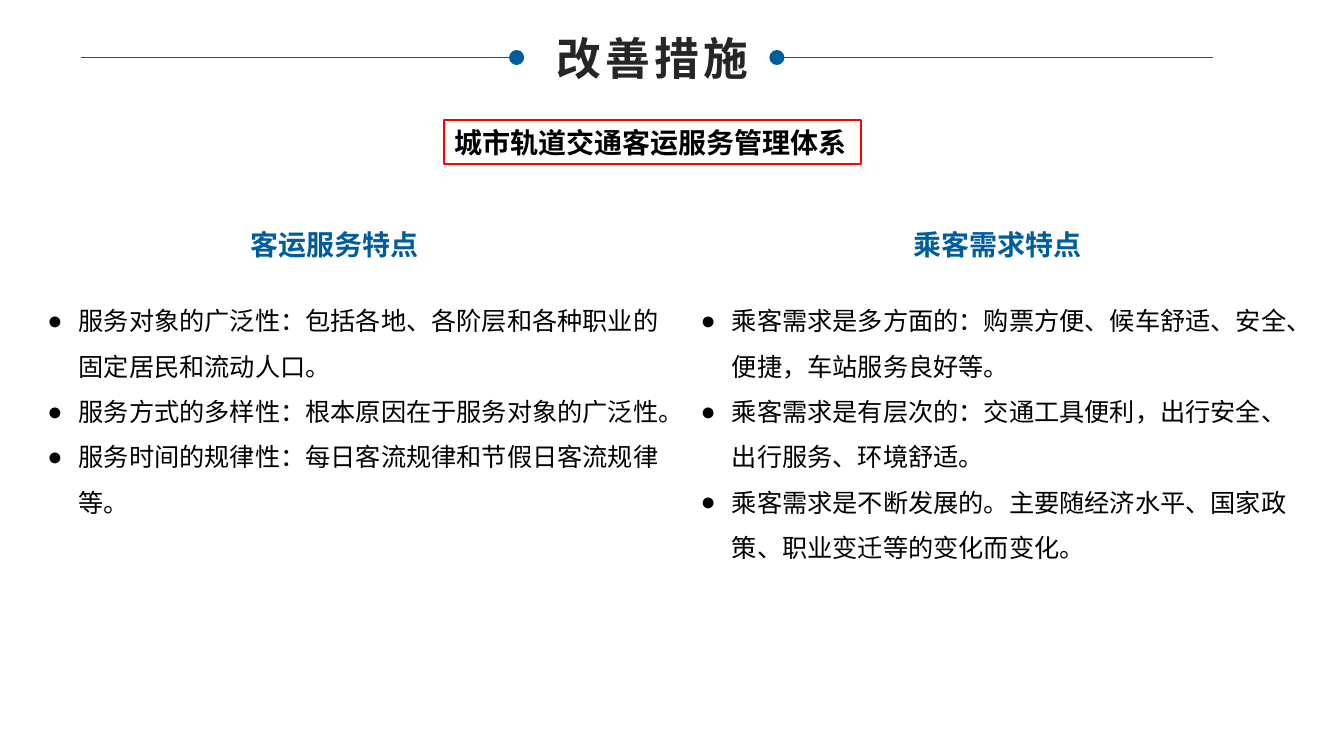
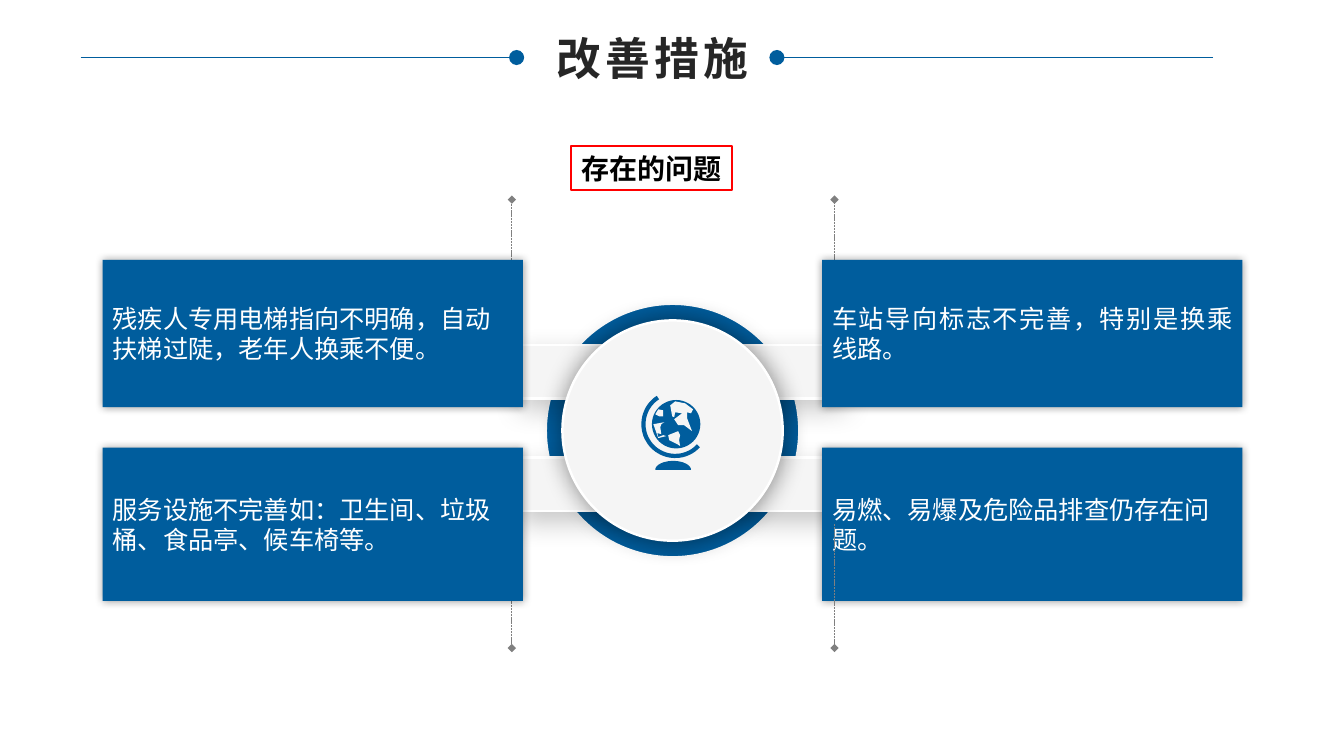
import math

from lxml import etree
from pptx import Presentation
from pptx import util as u
from pptx.dml.color import RGBColor
from pptx.enum import dml, shapes, text
from pptx.oxml import ns

COLORS = {
    "blue": "005D9D",
    "title": "262626",
    "black": "000000",
    "white": "FFFFFF",
    "red": "FF0000",
    "plate": "F5F5F5",
    "guide": "808080",
}
CJK_FONT = "Noto Sans CJK SC"
CARD_SHADOW = (40, 6, 0, 90)
PLATE_SHADOW = (21, 20, 10, 45)
HUB_SHADOW = (45, 18, 0, 0)

SERVICE_TRAITS = [
    "服务对象的广泛性：包括各地、各阶层和各种职业的固定居民和流动人口。",
    "服务方式的多样性：根本原因在于服务对象的广泛性。",
    "服务时间的规律性：每日客流规律和节假日客流规律等。",
]
DEMAND_TRAITS = [
    "乘客需求是多方面的：购票方便、候车舒适、安全、便捷，车站服务良好等。",
    "乘客需求是有层次的：交通工具便利，出行安全、出行服务、环境舒适。",
    "乘客需求是不断发展的。主要随经济水平、国家政策、职业变迁等的变化而变化。",
]
CONTINENTS = [
    [(-6, -19), (-1, -23), (9, -21), (17, -15), (15, -11), (11, -12),
     (11, -6), (16, 7), (8, 1), (2, 1), (-2, -5), (2, -8), (6, -11),
     (-1, -12), (-2, -7), (-4, -8)],
    [(-8, 11), (2, 7), (4, 11), (3, 16), (4, 22), (1, 20), (-7, 16)],
    [(-12, -2), (-23, 0), (-18, 14), (-10, 12), (-13, 11), (-18, 13),
     (-19, 9), (-15, 10), (-16, 3), (-15, 0)],
    [(-18, -15), (-21, -10), (-17, -8), (-13, -8), (-13, -14)],
]


def rgb(name):
    return RGBColor.from_string(COLORS[name])


def add_xml(parent, tag, **attributes):
    return etree.SubElement(parent, ns.qn(tag), attributes)


def write_text(frame, lines, size=18, font=CJK_FONT, color="black", bold=False,
               align=text.PP_ALIGN.LEFT, anchor=text.MSO_ANCHOR.MIDDLE,
               wrap=True, leading=None, spacing=0, bullet=None):
    frame.word_wrap = wrap
    frame.auto_size = text.MSO_AUTO_SIZE.NONE
    frame.vertical_anchor = anchor
    frame.text = "\n".join(lines)
    for paragraph in frame.paragraphs:
        paragraph.alignment = align
        paragraph.space_before = u.Pt(0)
        paragraph.line_spacing = u.Pt(leading) if leading else 1.0
        if bullet:
            properties = paragraph._p.get_or_add_pPr()
            properties.set("marL", str(u.Cm(0.79)))
            properties.set("indent", str(-u.Cm(0.79)))
            add_xml(properties, "a:buFont", typeface="Arial")
            add_xml(properties, "a:buChar", char=bullet)
        for run in paragraph.runs:
            run.font.size = u.Pt(size)
            run.font.bold = bold
            run.font.color.rgb = rgb(color)
            run.font.name = font
            properties = run._r.get_or_add_rPr()
            properties.set("lang", "zh-CN")
            if spacing:
                properties.set("spc", str(spacing * 100))
            add_xml(properties, "a:ea", typeface=CJK_FONT)


def place(shape, box):
    shape.left, shape.top, shape.width, shape.height = (u.Cm(v) for v in box)


def format_shape(shape, fill=None, line=None, width=1.5, shadow=None):
    if fill:
        shape.fill.solid()
        shape.fill.fore_color.rgb = rgb(fill)
    else:
        shape.fill.background()
    if line:
        shape.line.color.rgb = rgb(line)
        shape.line.width = u.Pt(width)
    else:
        shape.line.fill.background()
    shape.shadow.inherit = False
    if shadow:
        alpha, blur, distance, angle = shadow
        effects = shape._element.spPr.find(ns.qn("a:effectLst"))
        outer = add_xml(effects, "a:outerShdw", blurRad=str(u.Pt(blur)),
                        dist=str(u.Pt(distance)), dir=str(angle * 60000),
                        algn="ctr", rotWithShape="0")
        tone = add_xml(outer, "a:srgbClr", val=COLORS["black"])
        add_xml(tone, "a:alpha", val=str(alpha * 1000))


def add_preset(slide, kind, box, **style):
    shape = slide.shapes.add_shape(kind, *(u.Cm(v) for v in box))
    format_shape(shape, **style)
    return shape


def add_rectangle(slide, box, **style):
    return add_preset(slide, shapes.MSO_SHAPE.RECTANGLE, box, **style)


def add_circle(slide, center_x, center_y, diameter, **style):
    box = (center_x - diameter / 2, center_y - diameter / 2, diameter, diameter)
    return add_preset(slide, shapes.MSO_SHAPE.OVAL, box, **style)


def add_line(slide, start, end, color, width, dashed=False):
    line = slide.shapes.add_connector(
        shapes.MSO_CONNECTOR.STRAIGHT, *(u.Cm(v) for v in start + end))
    line.line.color.rgb = rgb(color)
    line.line.width = u.Pt(width)
    if dashed:
        line.line.dash_style = dml.MSO_LINE.SQUARE_DOT
        add_xml(line.line._get_or_add_ln(), "a:tailEnd", type="diamond")
    add_xml(line._element.spPr, "a:effectLst")


def add_outline(slide, center, points, closed=True, **style):
    points = [(x * 10, y * 10) for x, y in points]
    builder = slide.shapes.build_freeform(*points[0], scale=u.Cm(0.0025))
    builder.add_line_segments(points[1:], close=closed)
    shape = builder.convert_to_shape(*(u.Cm(v) for v in center))
    format_shape(shape, **style)


def arc_points(center_x, center_y, radius_x, radius_y, start, end):
    angles = [math.radians(start + (end - start) * i / 40) for i in range(41)]
    return [(center_x + radius_x * math.cos(a), center_y + radius_y * math.sin(a))
            for a in angles]


def add_header(slide, center=16.3, middle=1.45):
    title = slide.shapes.title
    place(title, (13.69, 0.64, 5.51, 1.63))
    write_text(title.text_frame, ["改善措施"], size=32, font="Arial",
               color="title", bold=True, align=text.PP_ALIGN.CENTER,
               wrap=False, spacing=3)
    for side in (-1, 1):
        add_line(slide, (center + side * 14.27, middle),
                 (center + side * 3.47, middle), "blue", 0.25)
        add_circle(slide, center + side * 3.28, middle, 0.38, fill="blue")


def add_banner(slide, box, caption):
    banner = add_rectangle(slide, box, line="red")
    write_text(banner.text_frame, [caption], size=20, bold=True, wrap=False)


def fill_column(heading, heading_box, caption, align, body, body_box, items, font):
    place(heading, heading_box)
    write_text(heading.text_frame, [caption], size=20, color="blue", bold=True,
               align=align)
    place(body, body_box)
    write_text(body.text_frame, items, font=font, leading=32.4, bullet="●",
               anchor=text.MSO_ANCHOR.TOP)


def add_globe(slide, center_x, center_y):
    center = (center_x, center_y)
    add_circle(slide, center_x, center_y, 1.22, fill="blue")
    for continent in CONTINENTS:
        add_outline(slide, center, continent, fill="plate")
    add_outline(slide, center, arc_points(-1, 0, 32, 32, 43, 237),
                closed=False, line="blue", width=3)
    add_outline(slide, center, arc_points(-3, 46, 18, 9, 180, 360), fill="blue")


def add_hub(slide, center_x, center_y):
    add_circle(slide, center_x, center_y, 6.4, fill="blue", line="white", width=2)
    for top in (center_y - 2.16, center_y + 0.68):
        for left in (center_x - 4.07, center_x + 1.43):
            add_rectangle(slide, (left, top, 2.64, 1.35), fill="plate",
                          line="white", width=1.75, shadow=PLATE_SHADOW)
    add_circle(slide, center_x, center_y, 5.55, fill="plate", line="white",
               width=1.75, shadow=HUB_SHADOW)
    add_globe(slide, center_x + 0.09, center_y - 0.16)


def add_card(slide, box, caption, align=text.PP_ALIGN.LEFT):
    card = add_rectangle(slide, box, fill="blue", shadow=CARD_SHADOW)
    write_text(card.text_frame, [caption], color="white", leading=21.6, align=align)


def add_guide(slide, x, start, end):
    add_line(slide, (x, start), (x, end), "guide", 0.5, dashed=True)


def build_traits_slide(presentation):
    slide = presentation.slides.add_slide(presentation.slide_layouts[4])
    holders = slide.placeholders
    fill_column(holders[1], (6.05, 5.59, 4.98, 1.12), "客运服务特点",
                text.PP_ALIGN.LEFT, holders[2], (0.94, 7.19, 16.18, 6.02),
                SERVICE_TRAITS, CJK_FONT)
    fill_column(holders[3], (22.68, 5.59, 4.83, 1.12), "乘客需求特点",
                text.PP_ALIGN.RIGHT, holders[4], (17.4, 7.19, 15.39, 7.19),
                DEMAND_TRAITS, "Arial")
    add_header(slide)
    add_banner(slide, (11.2, 3.02, 10.49, 1.12), "城市轨道交通客运服务管理体系")


def build_problems_slide(presentation, center_x=16.95, center_y=10.85):
    slide = presentation.slides.add_slide(presentation.slide_layouts[5])
    add_hub(slide, center_x, center_y)
    left_guide, right_guide = center_x - 4.05, center_x + 4.08
    add_guide(slide, left_guide, 8.36, 5.03)
    add_guide(slide, right_guide, 8.46, 5.03)
    add_guide(slide, left_guide, 13.16, 16.33)
    left, right, width = center_x - 14.36, center_x + 3.77, 10.59
    upper, lower = (6.55, 3.71), (11.28, 3.86)
    for x, (y, height), caption, align in (
        (left, upper, "残疾人专用电梯指向不明确，自动扶梯过陡，老年人换乘不便。",
         text.PP_ALIGN.LEFT),
        (right, upper, "车站导向标志不完善，特别是换乘线路。",
         text.PP_ALIGN.JUSTIFY),
        (left, lower, "服务设施不完善如：卫生间、垃圾桶、食品亭、候车椅等。",
         text.PP_ALIGN.LEFT),
        (right, lower, "易燃、易爆及危险品排查仍存在问题。",
         text.PP_ALIGN.LEFT),
    ):
        add_card(slide, (x, y, width, height), caption, align)
    add_guide(slide, right_guide, 13.21, 16.33)
    add_banner(slide, (14.4, 3.68, 4.06, 1.12), "存在的问题")
    add_header(slide)


def main():
    presentation = Presentation()
    presentation.slide_width = u.Cm(33.87)
    presentation.slide_height = u.Cm(19.05)
    build_traits_slide(presentation)
    build_problems_slide(presentation)
    presentation.save("out.pptx")


if __name__ == "__main__":
    main()
